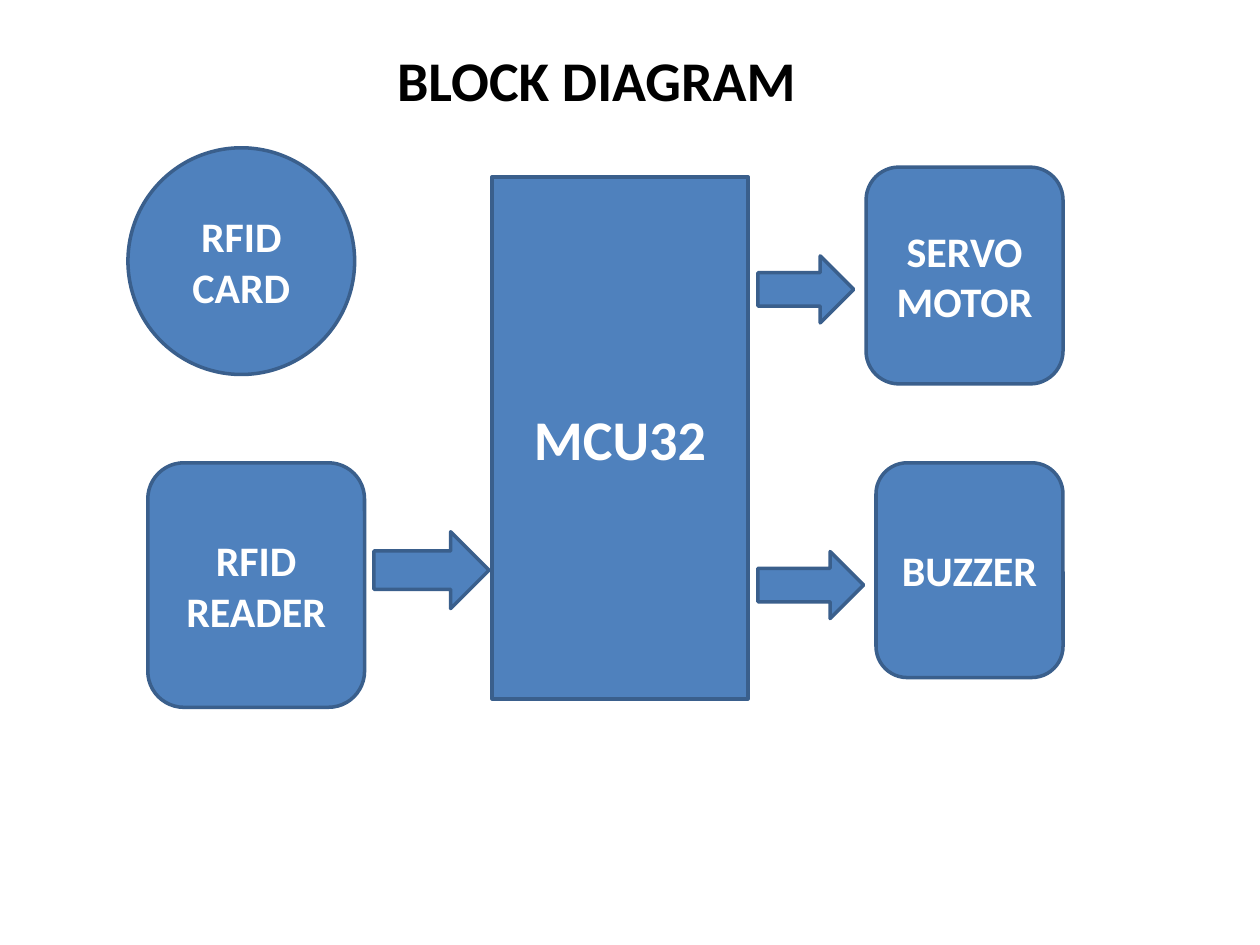
import dataclasses

import pptx
import pptx.dml.color
import pptx.enum.shapes
import pptx.enum.text
import pptx.util

Cm = pptx.util.Cm
Pt = pptx.util.Pt
Shape = pptx.enum.shapes.MSO_SHAPE
Align = pptx.enum.text.PP_ALIGN
Anchor = pptx.enum.text.MSO_ANCHOR


@dataclasses.dataclass(frozen=True)
class Theme:
    font: str = "Calibri"
    fill: str = "4F81BD"
    outline: str = "3A5F8C"
    light: str = "FFFFFF"
    dark: str = "000000"
    large: int = 32
    medium: int = 24
    line_width: int = 2


class DiagramBuilder:
    def __init__(self, slide, theme):
        self.slide = slide
        self.theme = theme

    def color(self, value):
        return pptx.dml.color.RGBColor.from_string(value)

    def label(self, shape, text, size, color, alignment):
        frame = shape.text_frame
        frame.text = text
        frame.vertical_anchor = Anchor.MIDDLE
        for paragraph in frame.paragraphs:
            paragraph.alignment = alignment
            for run in paragraph.runs:
                run.font.name = self.theme.font
                run.font.size = Pt(size)
                run.font.bold = True
                run.font.color.rgb = self.color(color)

    def title(self, text, box):
        shape = self.slide.shapes.title
        shape.left, shape.top, shape.width, shape.height = map(Cm, box)
        self.label(shape, text, self.theme.large, self.theme.dark, Align.LEFT)
        shape.text_frame.word_wrap = False
        shape.text_frame.auto_size = pptx.enum.text.MSO_AUTO_SIZE.SHAPE_TO_FIT_TEXT

    def outlined(self, kind, box):
        shape = self.slide.shapes.add_shape(kind, *map(Cm, box))
        shape.shadow.inherit = False
        shape.fill.solid()
        shape.fill.fore_color.rgb = self.color(self.theme.fill)
        shape.line.color.rgb = self.color(self.theme.outline)
        shape.line.width = Pt(self.theme.line_width)
        return shape

    def block(self, kind, text, size, box):
        shape = self.outlined(kind, box)
        self.label(shape, text, size, self.theme.light, Align.CENTER)

    def arrow(self, box):
        self.outlined(Shape.RIGHT_ARROW, box)


theme = Theme()
presentation = pptx.Presentation()
presentation.slide_width = Cm(25.4)
presentation.slide_height = Cm(19.05)
slide = presentation.slides.add_slide(presentation.slide_layouts[5])
diagram = DiagramBuilder(slide, theme)

diagram.title("BLOCK DIAGRAM", (7.75, 0.79, 8.61, 1.62))

blocks = [
    (Shape.RECTANGLE, "MCU32", theme.large, (9.92, 3.57, 5.16, 10.52)),
    (Shape.OVAL, "RFID CARD", theme.medium, (2.58, 2.98, 4.57, 4.57)),
    (Shape.ROUNDED_RECTANGLE, "RFID READER", theme.medium, (2.98, 9.33, 4.37, 4.93)),
    (Shape.ROUNDED_RECTANGLE, "SERVO\nMOTOR", theme.medium, (17.46, 3.37, 3.97, 4.37)),
    (Shape.ROUNDED_RECTANGLE, "BUZZER", theme.medium, (17.66, 9.33, 3.77, 4.33)),
]
for block in blocks:
    diagram.block(*block)

arrows = [
    (7.54, 10.72, 2.32, 1.55),
    (15.28, 5.16, 1.93, 1.35),
    (15.28, 11.12, 2.13, 1.35),
]
for box in arrows:
    diagram.arrow(box)

presentation.save("out.pptx")
